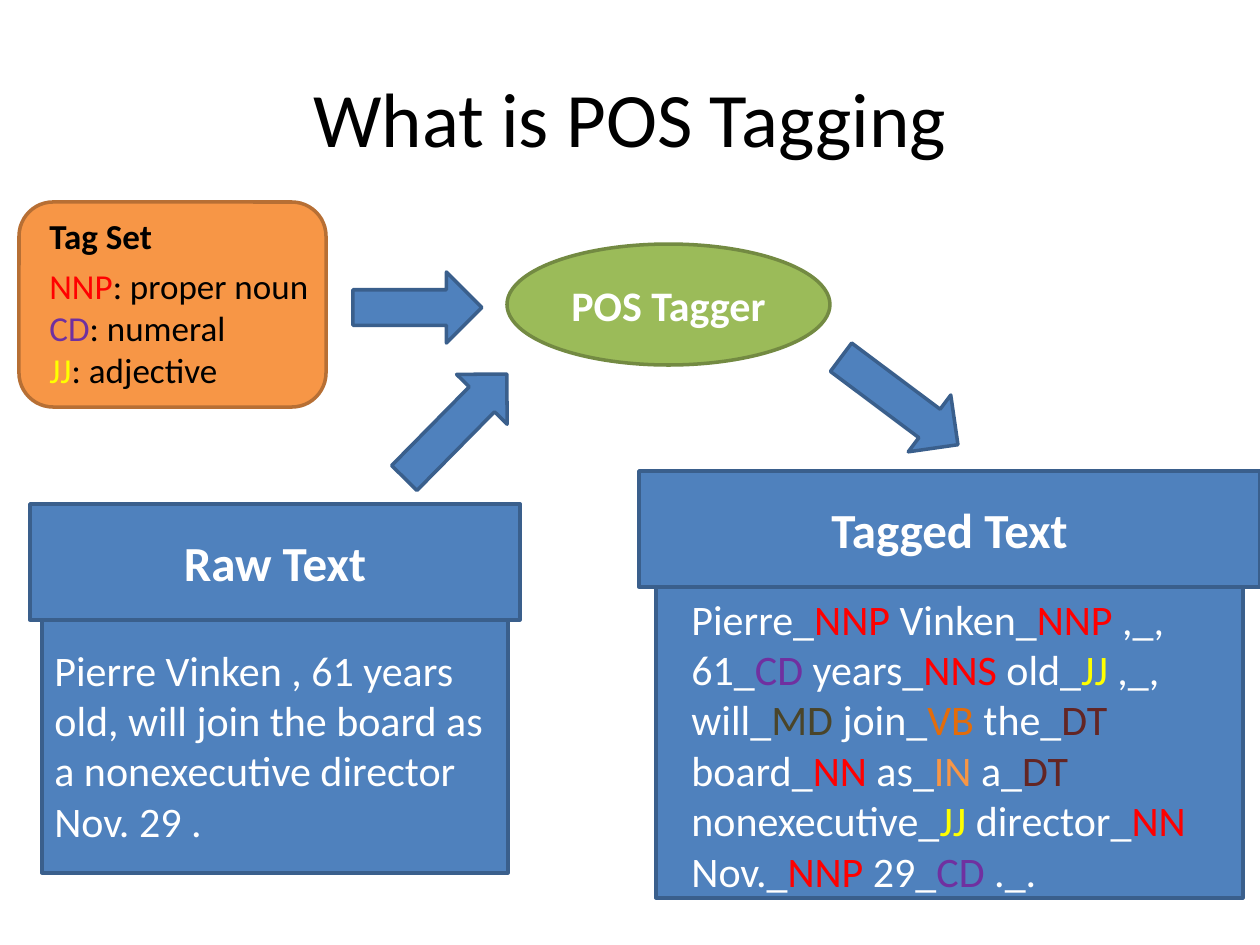
from pptx import Presentation
from pptx.dml.color import RGBColor
from pptx.enum.shapes import MSO_SHAPE
from pptx.enum.text import MSO_ANCHOR, PP_ALIGN
from pptx.util import Emu, Pt

PX = 914400 / 126
WHITE, BLACK, RED, PURPLE, YELLOW = "FFFFFF", "000000", "FF0000", "7030A0", "FFFF00"
BLUE, BLUE_LINE = "4F81BD", "3A5F8C"
TAG_COLORS = {
    "NNP": RED, "NNS": RED, "NN": RED, "CD": PURPLE, "JJ": YELLOW,
    "MD": "4A452A", "VB": "E46C0A", "DT": "632523", "IN": "F79646",
}
RAW_TEXT = ("Pierre Vinken , 61 years old, will join the board as "
            "a nonexecutive director Nov. 29 .")
TAGGED_TEXT = ("Pierre_NNP Vinken_NNP ,_, 61_CD years_NNS old_JJ ,_, will_MD "
               "join_VB the_DT board_NN as_IN a_DT nonexecutive_JJ "
               "director_NN Nov._NNP 29_CD ._.")


def px(*lengths):
    return [Emu(round(length * PX)) for length in lengths]


def color(hex_string):
    return RGBColor.from_string(hex_string)


def write(frame, paragraphs, size, bold=False, align=PP_ALIGN.LEFT, anchor=MSO_ANCHOR.TOP):
    """Fill a frame with paragraphs, each a list of (text, colour) runs."""
    frame.word_wrap = True
    frame.vertical_anchor = anchor
    for index, runs in enumerate(paragraphs):
        para = frame.add_paragraph() if index else frame.paragraphs[0]
        para.alignment = align
        for text, hex_string in runs:
            span = para.add_run()
            span.text = text
            span.font.name = "Calibri"
            span.font.size = Pt(size)
            span.font.bold = bold
            span.font.color.rgb = color(hex_string)


def add_text(page, box, paragraphs, size, **style):
    write(page.shapes.add_textbox(*px(*box)).text_frame, paragraphs, size, **style)


def add_block(page, kind, box, fill=BLUE, line=BLUE_LINE, label=None, size=28):
    block = page.shapes.add_shape(kind, *px(*box))
    block.shadow.inherit = False
    block.fill.solid()
    block.fill.fore_color.rgb = color(fill)
    block.line.color.rgb = color(line)
    block.line.width = Pt(2)
    if label:
        write(block.text_frame, [[(label, WHITE)]], size, bold=True,
              align=PP_ALIGN.CENTER, anchor=MSO_ANCHOR.MIDDLE)
    return block


def tagged_runs(sentence):
    """Split word_TAG tokens into white words and coloured tags."""
    runs = []
    for token in sentence.split():
        word, tag = token.split("_")
        runs += [(word + "_", WHITE), (tag + " ", TAG_COLORS.get(tag, WHITE))]
    text, last_color = runs[-1]
    runs[-1] = (text.rstrip(), last_color)
    return runs


def text_panel(page, box, heading, inset, drop, text_box, runs):
    """Heading bar over a narrower body; text_box is relative to the bar."""
    left, top, width, height = box
    add_block(page, MSO_SHAPE.RECTANGLE, (left + inset, top + drop, width - 2 * inset, 355))
    add_block(page, MSO_SHAPE.RECTANGLE, box, label=heading)
    x, y, text_width, text_height = text_box
    add_text(page, (left + x, top + y, text_width, text_height), [runs], 24)


def tag_set(page, box):
    left, top, width, height = box
    add_block(page, MSO_SHAPE.ROUNDED_RECTANGLE, box, "F79646", "B76F34")
    add_text(page, (left + 18, top + 6, 183, 55), [[("Tag Set", BLACK)]], 20, bold=True)
    meanings = {"NNP": "proper noun", "CD": "numeral", "JJ": "adjective"}
    add_text(page, (left + 18, top + 56, 363, 140),
             [[(tag, TAG_COLORS[tag]), (f": {meaning}", BLACK)]
              for tag, meaning in meanings.items()], 20)


def flow_arrow(page, box, rotation):
    add_block(page, MSO_SHAPE.DOWN_ARROW, box).rotation = rotation


def main():
    deck = Presentation()
    deck.slide_width, deck.slide_height = px(1260, 945)
    page = deck.slides.add_slide(deck.slide_layouts[6])

    # Title
    add_text(page, (63, 38, 1134, 158), [[("What is POS Tagging", BLACK)]], 44,
             align=PP_ALIGN.CENTER, anchor=MSO_ANCHOR.MIDDLE)

    # Input and output text
    text_panel(page, (30, 504, 490, 116), "Raw Text", 12, 14,
               (12, 134, 480, 217), [(RAW_TEXT, WHITE)])
    text_panel(page, (639, 471, 621, 116), "Tagged Text", 17, 72,
               (40, 116, 551, 318), tagged_runs(TAGGED_TEXT))

    # Tag set and tagger
    tag_set(page, (19, 202, 307, 205))
    add_block(page, MSO_SHAPE.OVAL, (507, 244, 323, 121), "9BBB59", "738A42",
              "POS Tagger", 24)

    # Flow: tagger to output, input to tagger, tag set to tagger
    flow_arrow(page, (864, 328, 71, 146), 306.8)
    flow_arrow(page, (420, 353, 71, 146), 224.6)
    flow_arrow(page, (382, 243, 71, 129), 270)

    deck.save("out.pptx")


if __name__ == "__main__":
    main()
